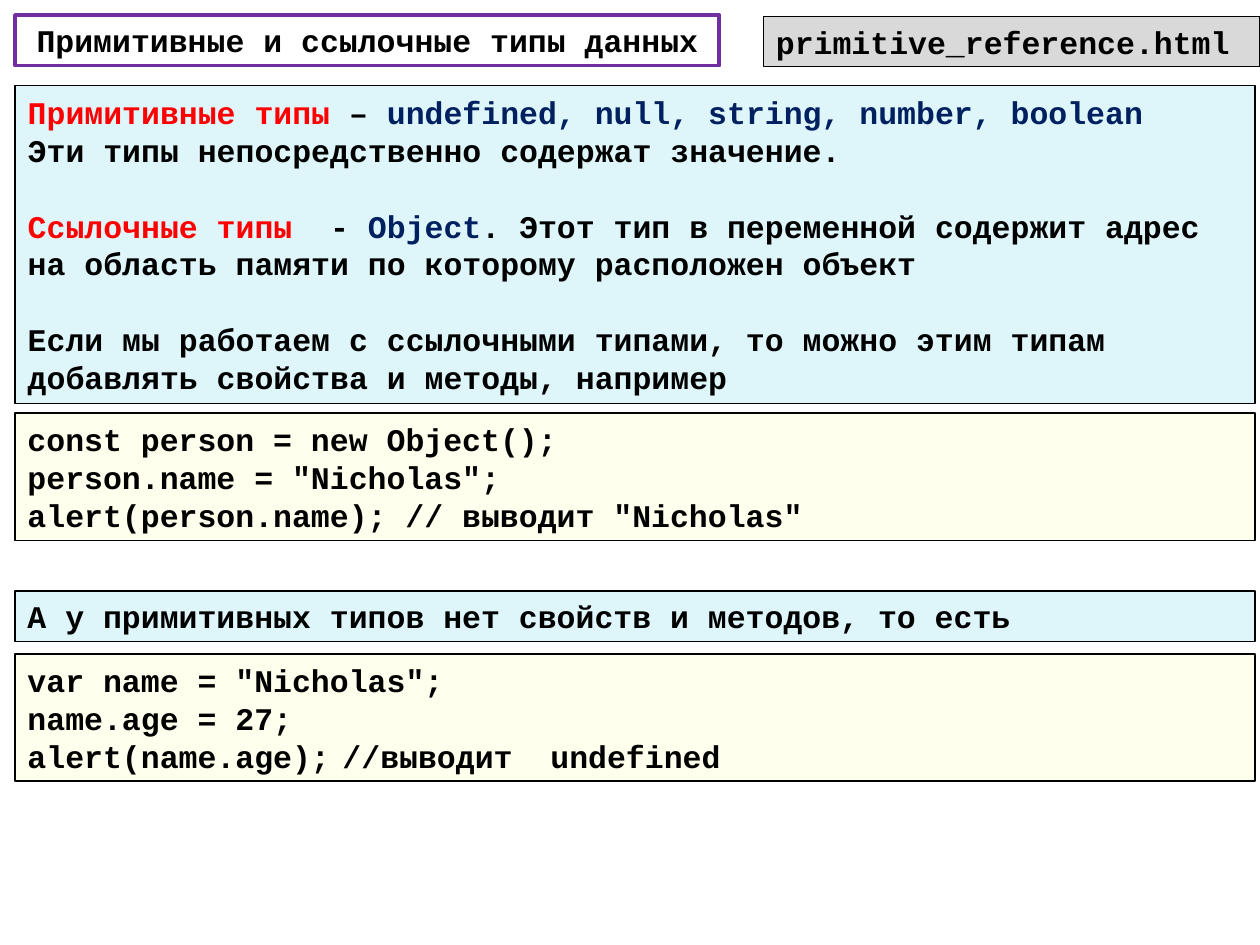
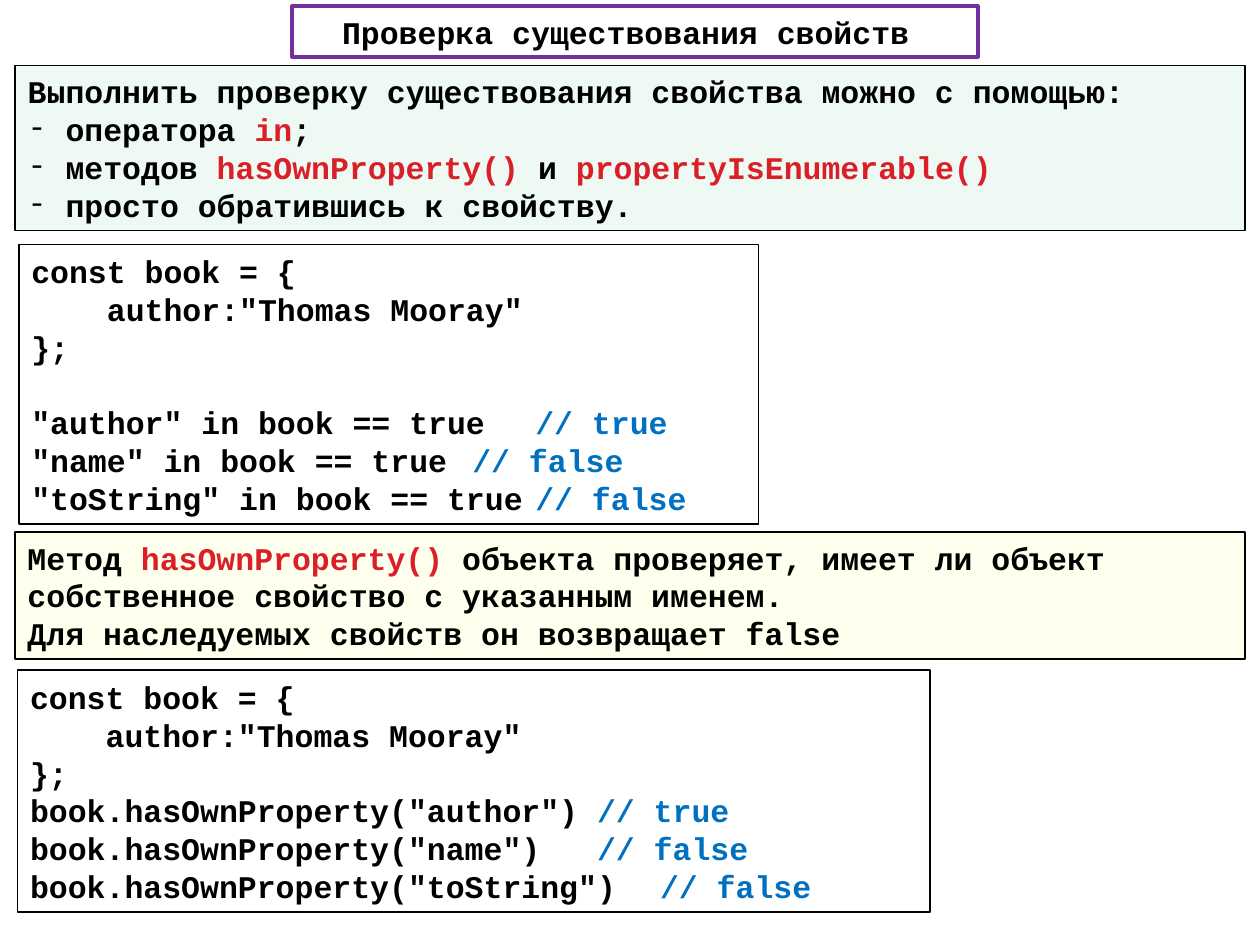
import pptx
import pptx.util
import pptx.dml.color
import pptx.enum.shapes
import pptx.enum.text
import pptx.oxml.ns
import lxml.etree

COLORS = {
    "ink": "000000", "title": "7030A0", "term": "FF0000", "type": "002060",
    "method": "DA1F28", "comment": "0070C0", "sky": "DEF5FA", "gray": "D9D9D9",
    "yellow": "FFFF00", "green": "00B050", "white": "FFFFFF",
}
PX = 9144            # EMU in one px, 100 px to the inch
CHAR = 15            # width of one character at 18 pt, in px
LEADING = 21.6       # line height in points
TINT = 7             # opacity of tinted fills, percent


def line(*runs, gap=False, dash=False, tab=0):
    """One paragraph: plain strings or (text, colour) pairs; tab is a column."""
    pairs = [(r, "ink") if isinstance(r, str) else r for r in runs]
    return {"runs": pairs, "gap": gap, "dash": dash, "tab": tab}


def commented(code, column, comment, color="comment", gap=False):
    return line(code + "\t", (comment, color), gap=gap, tab=column)


class Deck:
    def __init__(self):
        self.prs = pptx.Presentation()
        self.prs.slide_width = 1000 * PX
        self.prs.slide_height = 750 * PX
        self.s = None

    def slide(self):
        self.s = self.prs.slides.add_slide(self.prs.slide_layouts[1])

    def rgb(self, name):
        return pptx.dml.color.RGBColor.from_string(COLORS[name])

    def style(self, sp, box, fill, stroke, width, tint=False):
        sp.left, sp.top, sp.width, sp.height = (v * PX for v in box)
        if fill:
            sp.fill.solid()
            sp.fill.fore_color.rgb = self.rgb(fill)
        else:
            sp.fill.background()
        if tint:
            qn = pptx.oxml.ns.qn
            color = sp._element.spPr.find(qn("a:solidFill"))[0]
            alpha = lxml.etree.SubElement(color, qn("a:alpha"))
            alpha.set("val", str(TINT * 1000))
        sp.line.color.rgb = self.rgb(stroke)
        sp.line.width = pptx.util.Pt(width)

    def text(self, sp, lines, align="LEFT"):
        tf = sp.text_frame
        tf.word_wrap = True
        tf.auto_size = pptx.enum.text.MSO_AUTO_SIZE.NONE
        tf.vertical_anchor = pptx.enum.text.MSO_ANCHOR.MIDDLE
        for i, item in enumerate(lines):
            p = tf.paragraphs[0] if i == 0 else tf.add_paragraph()
            self.indent(p, item)
            p.alignment = pptx.enum.text.PP_ALIGN[align]
            p.line_spacing = pptx.util.Pt(LEADING)
            p.space_before = pptx.util.Pt(LEADING if item["gap"] else 0)
            for text, color in item["runs"]:
                r = p.add_run()
                r.text = text
                r.font.name = "Courier New"
                r.font.size = pptx.util.Pt(18)
                r.font.bold = True
                r.font.color.rgb = self.rgb(color)

    def indent(self, p, item):
        """Set the indent, the dash bullet and the tab stop of a paragraph."""
        qn = pptx.oxml.ns.qn
        pPr = p._p.get_or_add_pPr()
        hang = 2 * CHAR * PX if item["dash"] else 0
        pPr.set("marL", str(hang))
        pPr.set("indent", str(-hang))
        if item["dash"]:
            lxml.etree.SubElement(pPr, qn("a:buFont")).set("typeface", "Courier New")
            lxml.etree.SubElement(pPr, qn("a:buChar")).set("char", "-")
        else:
            lxml.etree.SubElement(pPr, qn("a:buNone"))
        if item["tab"]:
            tabs = lxml.etree.SubElement(pPr, qn("a:tabLst"))
            stop = lxml.etree.SubElement(tabs, qn("a:tab"))
            stop.set("pos", str(item["tab"] * CHAR * PX))
            stop.set("algn", "l")

    def title(self, box, text):
        sp = self.s.shapes.title
        self.style(sp, box, None, "title", 2.25)
        self.text(sp, [line(text)], "CENTER")

    def body(self, box, lines, fill, width=1, tint=False):
        sp = self.s.placeholders[1]
        self.style(sp, box, fill, "ink", width, tint)
        self.text(sp, lines)

    def panel(self, box, lines, fill, width=1, tint=False):
        sp = self.s.shapes.add_shape(
            pptx.enum.shapes.MSO_SHAPE.RECTANGLE, 0, 0, PX, PX)
        sp.shadow.inherit = False
        self.style(sp, box, fill, "ink", width, tint)
        self.text(sp, lines)


def types_slide(d):
    d.slide()
    d.title((12, 12, 559, 40), "Примитивные и ссылочные типы данных")
    d.panel((606, 13, 394, 40), [line("primitive_reference.html")], "gray", 0.75)

    # Definitions
    d.body((12, 68, 984, 252), [
        line(("Примитивные типы ", "term"), "– ",
             ("undefined, null, string, number, boolean", "type")),
        line("Эти типы непосредственно содержат значение."),
        line(("Cсылочные типы  ", "term"), "- ", ("Object", "type"),
             ". Этот тип в переменной содержит адрес на область памяти "
             "по которому расположен объект", gap=True),
        line("Если мы работаем с ссылочными типами, то можно этим типам "
             "добавлять свойства и методы, например", gap=True),
    ], "sky", 0.75)

    # Object example
    d.panel((12, 328, 984, 101), [
        line("const person = new Object();"),
        line('person.name = "Nicholas";'),
        commented("alert(person.name);", 26, '// выводит "Nicholas"', "ink"),
    ], "yellow", tint=True)

    # Primitive example
    d.panel((12, 469, 984, 40), [
        line("А у примитивных типов нет свойств и методов, то есть"),
    ], "sky", 0.75)
    d.panel((12, 519, 984, 101), [
        line('var name = "Nicholas";'),
        line("name.age = 27;"),
        commented("alert(name.age);", 20, "//выводит  undefined", "ink"),
    ], "yellow", tint=True)


def properties_slide(d):
    d.slide()
    d.title((232, 5, 544, 40), "Проверка существования свойств ")
    book = [line("const book = {"),
            line('    author:"Thomas Mooray"'),
            line("};")]

    # Ways to check
    d.body((12, 52, 976, 131), [
        line("Выполнить проверку существования свойства можно с помощью:"),
        line("оператора ", ("in", "method"), ";", dash=True),
        line("методов ", ("hasOwnProperty() ", "method"), "и ",
             ("propertyIsEnumerable()", "method"), dash=True),
        line("просто обратившись к свойству.", dash=True),
    ], "green", tint=True)

    # Operator in
    d.panel((15, 194, 587, 222), book + [
        commented('"author" in book == true', 27, "// true", gap=True),
        commented('"name" in book == true', 24, "// false"),
        commented('"toString" in book == true', 27, "// false"),
    ], "white", tint=True)

    # Method hasOwnProperty
    d.panel((12, 422, 976, 101), [
        line("Метод ", ("hasOwnProperty() ", "method"),
             "объекта проверяет, имеет ли объект собственное свойство "
             "с указанным именем."),
        line("Для наследуемых свойств он возвращает false"),
    ], "yellow", tint=True)
    checks = {"author": "true", "name": "false", "toString": "false"}
    d.panel((14, 532, 724, 192), book + [
        commented(f'book.hasOwnProperty("{key}")', 32, f"// {found}")
        for key, found in checks.items()
    ], "white", tint=True)


def main():
    d = Deck()
    types_slide(d)
    properties_slide(d)
    d.prs.save("out.pptx")


if __name__ == "__main__":
    main()
